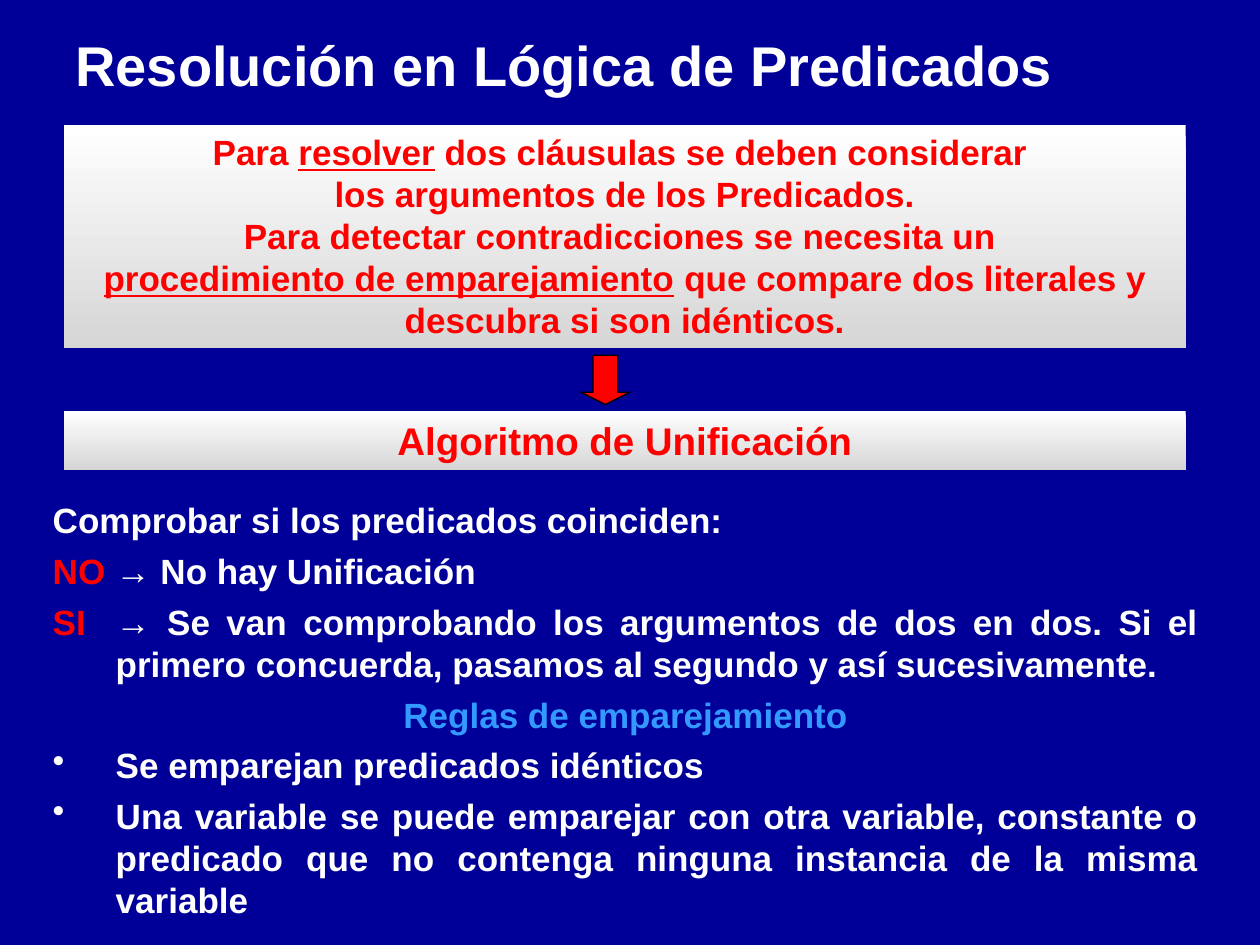
from lxml.etree import SubElement
from pptx import Presentation
from pptx.dml.color import RGBColor
from pptx.enum.shapes import MSO_SHAPE
from pptx.enum.text import MSO_ANCHOR, PP_ALIGN
from pptx.oxml.ns import qn
from pptx.util import Inches, Pt

NAVY, WHITE, RED, BLUE = "000099", "FFFFFF", "FF0000", "3399FF"
SILVER, BLACK = "D6D6D6", "000000"
PANEL_LEFT, PANEL_WIDTH = 0.51, 8.9
HANGING = 0.5

TITLE = "Resolución en Lógica de Predicados"
# Each line is a list of (text, underlined).
PREMISE = [
    [("Para ", False), ("resolver", True),
     (" dos cláusulas se deben considerar ", False)],
    [("los argumentos de los Predicados.", False)],
    [("Para detectar contradicciones se necesita un ", False)],
    [("procedimiento de emparejamiento", True),
     (" que compare dos literales y descubra si son idénticos.", False)],
]
ALGORITHM = [[("Algoritmo de Unificación", False)]]
# Each step is (alignment, bulleted, [(text, colour)]).
STEPS = [
    (PP_ALIGN.JUSTIFY, False, [("Comprobar si los predicados coinciden:", WHITE)]),
    (PP_ALIGN.JUSTIFY, False, [("NO\t", RED), ("→ No hay Unificación", WHITE)]),
    (PP_ALIGN.JUSTIFY, False, [
        ("SI\t", RED),
        ("→ Se van comprobando los argumentos de dos en dos. Si el primero "
         "concuerda, pasamos al segundo y así sucesivamente.", WHITE)]),
    (PP_ALIGN.CENTER, False, [("Reglas de emparejamiento", BLUE)]),
    (PP_ALIGN.JUSTIFY, True, [("Se emparejan predicados idénticos", WHITE)]),
    (PP_ALIGN.JUSTIFY, True, [
        ("Una variable se puede emparejar con otra variable, constante o "
         "predicado que no contenga ninguna instancia de la misma variable", WHITE)]),
]


def rgb(value):
    return RGBColor.from_string(value)


def set_font(paragraph, size, color=None):
    font = paragraph.font
    font.name, font.size, font.bold = "Arial", Pt(size), True
    if color:
        font.color.rgb = rgb(color)


def paragraphs(frame, lines):
    """Pair each line with a paragraph, starting with the existing one."""
    for index, line in enumerate(lines):
        yield (frame.add_paragraph() if index else frame.paragraphs[0]), line


def text_frame(slide, left, top, width, height):
    frame = slide.shapes.add_textbox(*map(Inches, (left, top, width, height))).text_frame
    frame.word_wrap = True
    return frame


def add_panel(slide, top, height, lines, size):
    panel = slide.shapes.add_shape(
        MSO_SHAPE.RECTANGLE, *map(Inches, (PANEL_LEFT, top, PANEL_WIDTH, height)))
    panel.shadow.inherit = False
    panel.line.fill.background()
    panel.fill.gradient()
    panel.fill.gradient_angle = 270
    for stop, color in zip(panel.fill.gradient_stops, (WHITE, SILVER)):
        stop.color.rgb = rgb(color)
    frame = panel.text_frame
    frame.word_wrap = True
    frame.vertical_anchor = MSO_ANCHOR.TOP
    for paragraph, pieces in paragraphs(frame, lines):
        paragraph.alignment = PP_ALIGN.CENTER
        set_font(paragraph, size, RED)
        for text, underlined in pieces:
            run = paragraph.add_run()
            run.text = text
            if underlined:
                run.font.underline = True


def add_arrow(slide):
    arrow = slide.shapes.add_shape(
        MSO_SHAPE.DOWN_ARROW, *map(Inches, (4.61, 2.82, 0.39, 0.39)))
    arrow.adjustments[0], arrow.adjustments[1] = 0.5, 0.25
    arrow.shadow.inherit = False
    arrow.fill.solid()
    arrow.fill.fore_color.rgb = rgb(RED)
    arrow.line.color.rgb = rgb(BLACK)
    arrow.line.width = Pt(0.75)


def hang(paragraph, bulleted):
    """Indent all but the first line, with a bullet where asked."""
    properties = paragraph._p.get_or_add_pPr()
    properties.set("marL", str(Inches(HANGING)))
    properties.set("indent", str(-Inches(HANGING)))
    if bulleted:
        bullet_color = SubElement(properties, qn("a:buClr"))
        SubElement(bullet_color, qn("a:srgbClr"), val=WHITE)
        SubElement(properties, qn("a:buChar"), char="•")
    else:
        SubElement(properties, qn("a:buNone"))


def add_steps(slide):
    frame = text_frame(slide, 0.32, 3.91, 9.29, 3.47)
    for index, (paragraph, step) in enumerate(paragraphs(frame, STEPS)):
        alignment, bulleted, pieces = step
        hang(paragraph, bulleted)
        paragraph.alignment = alignment
        if index:
            paragraph.space_before = Pt(5)
        set_font(paragraph, 20)
        for text, color in pieces:
            run = paragraph.add_run()
            run.text = text
            run.font.color.rgb = rgb(color)


def main():
    deck = Presentation()
    deck.slide_width, deck.slide_height = Inches(10), Inches(7.5)
    slide = deck.slides.add_slide(deck.slide_layouts[6])
    slide.background.fill.solid()
    slide.background.fill.fore_color.rgb = rgb(NAVY)

    title = text_frame(slide, 0.5, 0.13, 8.36, 0.75)
    title.vertical_anchor = MSO_ANCHOR.MIDDLE
    title.text = TITLE
    set_font(title.paragraphs[0], 32, WHITE)

    add_panel(slide, 3.26, 0.47, ALGORITHM, 22)
    add_panel(slide, 0.99, 1.77, PREMISE, 20)
    add_arrow(slide)
    add_steps(slide)
    deck.save("out.pptx")


if __name__ == "__main__":
    main()
